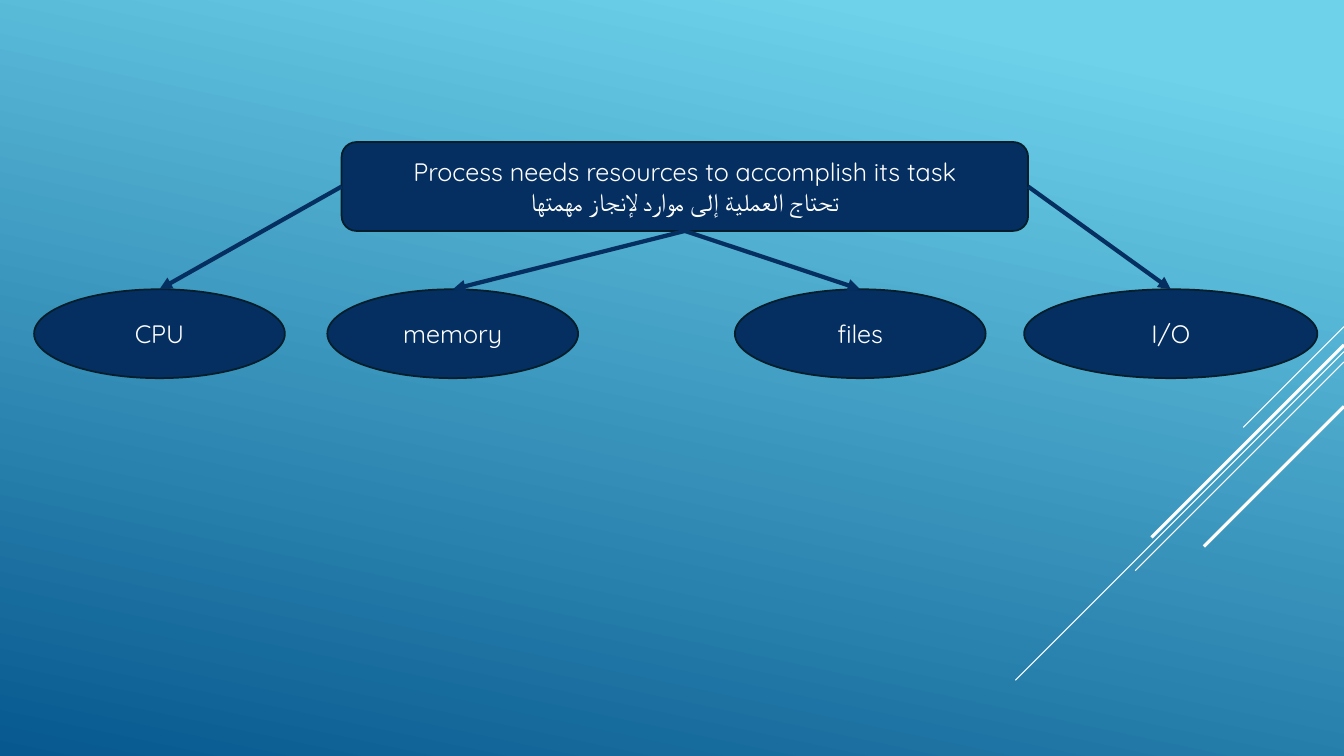
from pptx import Presentation
from pptx.dml.color import RGBColor
from pptx.enum import shapes, text
from pptx.oxml import ns
from pptx.util import Cm, Pt
from lxml import etree

NAVY = RGBColor(0x05, 0x2F, 0x61)
OUTLINE = RGBColor(0x02, 0x1E, 0x2B)
WHITE = RGBColor(0xFF, 0xFF, 0xFF)
SKY = RGBColor(0x6E, 0xD2, 0xEB)
DEEP_BLUE = RGBColor(0x06, 0x58, 0x8E)
FONT = "Quicksand"

TASK = ["Process needs resources to accomplish its task", "تحتاج العملية إلى موارد لإنجاز مهمتها"]
LEFT_SIDE, BOTTOM_SIDE, RIGHT_SIDE, TOP_SIDE = 1, 2, 3, 0
RESOURCES = [
    ("I/O", 25.81, 7.39, RIGHT_SIDE),
    ("memory", 8.25, 6.32, BOTTOM_SIDE),
    ("CPU", 0.86, 6.32, LEFT_SIDE),
    ("files", 18.52, 6.32, BOTTOM_SIDE),
]
RAYS = [(8.23, 2.54, 0.75), (8.86, 8.28, 0.75), (9.12, 5.26, 0.75), (8.69, 4.85, 2.25), (10.24, 3.53, 2.25)]
SLIDE_WIDTH, SLIDE_HEIGHT = 33.87, 19.05
NODE_HEIGHT = 2.24
TASK_TOP, RESOURCE_TOP = 3.58, 7.29

presentation = Presentation()
presentation.slide_width = Cm(SLIDE_WIDTH)
presentation.slide_height = Cm(SLIDE_HEIGHT)
slide = presentation.slides.add_slide(presentation.slide_layouts[6])


def paint_background():
    fill = slide.background.fill
    fill.gradient()
    fill.gradient_angle = 258
    for stop, color, position in zip(fill.gradient_stops, (SKY, DEEP_BLUE), (0.1, 1)):
        stop.color.rgb = color
        stop.position = position


def add_line(start, end, color, weight):
    line = slide.shapes.add_connector(shapes.MSO_CONNECTOR.STRAIGHT, *map(Cm, start + end))
    line.line.color.rgb = color
    line.line.width = Pt(weight)
    etree.SubElement(line._element.spPr, ns.qn("a:effectLst"))
    return line


def add_node(kind, left, top, width, lines):
    shape = slide.shapes.add_shape(kind, Cm(left), Cm(top), Cm(width), Cm(NODE_HEIGHT))
    shape.shadow.inherit = False
    shape.fill.solid()
    shape.fill.fore_color.rgb = NAVY
    shape.line.color.rgb = OUTLINE
    shape.line.width = Pt(1.25)
    frame = shape.text_frame
    frame.word_wrap = True
    frame.vertical_anchor = text.MSO_ANCHOR.MIDDLE
    for index, line in enumerate(lines):
        paragraph = frame.add_paragraph() if index else frame.paragraphs[0]
        paragraph.alignment = text.PP_ALIGN.CENTER
        run = paragraph.add_run()
        run.text = line
        run.font.name = FONT
        run.font.size = Pt(18)
        run.font.color.rgb = WHITE
    return shape


def add_arrow(source, side, target):
    arrow = add_line((0, 0), (1, 1), NAVY, 3)
    arrow.begin_connect(source, side)
    arrow.end_connect(target, TOP_SIDE)
    etree.SubElement(arrow.line._get_or_add_ln(), ns.qn("a:tailEnd"), type="triangle")


paint_background()
for top, length, weight in RAYS:
    add_line((SLIDE_WIDTH, top), (SLIDE_WIDTH - length, top + length), WHITE, weight)

task = add_node(shapes.MSO_SHAPE.ROUNDED_RECTANGLE, 8.61, TASK_TOP, 17.3, TASK)
for name, left, width, side in RESOURCES:
    resource = add_node(shapes.MSO_SHAPE.OVAL, left, RESOURCE_TOP, width, [name])
    add_arrow(task, side, resource)

presentation.save("out.pptx")
